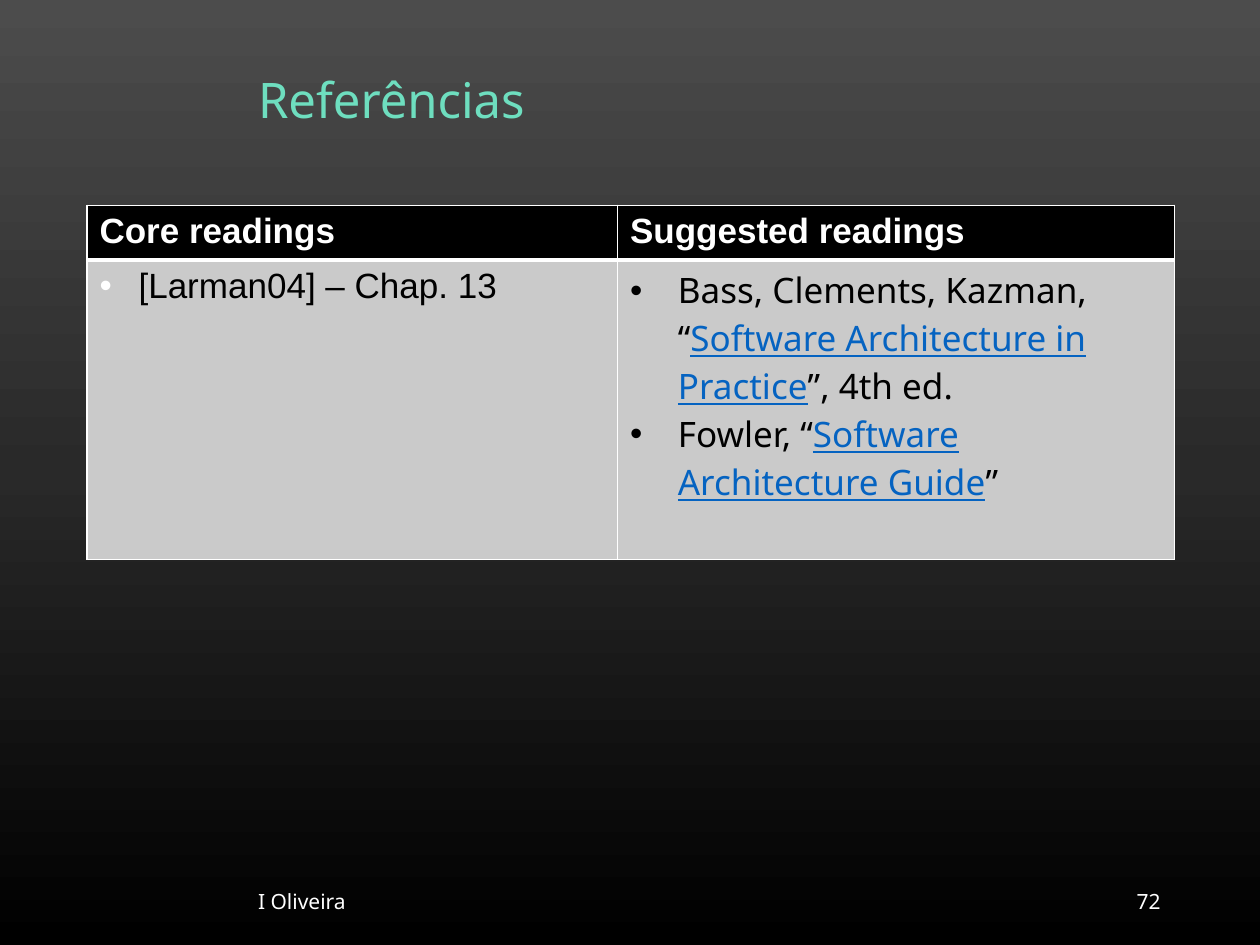
from dataclasses import dataclass
from typing import NamedTuple

from lxml.etree import SubElement as Sub
from pptx import Presentation
from pptx.dml.color import RGBColor as Rgb
from pptx.enum.text import MSO_ANCHOR as Anchor, PP_ALIGN as Align
from pptx.oxml.ns import qn
from pptx.util import Inches, Pt


@dataclass(frozen=True)
class Theme:
    sans: str = "Noto Sans"
    arial: str = "Arial"
    white: str = "FFFFFF"
    black: str = "000000"
    mint: str = "6EDEBF"
    grey: str = "CACACA"
    link: str = "0563C1"
    fade: tuple = ((0, "4C4C4C"), (50, "292929"), (100, "000000"))
    title: int = 28
    body: int = 20
    foot: int = 12


class Box(NamedTuple):
    left: float
    top: float
    width: float
    height: float


class Label(NamedTuple):
    text: str
    box: Box
    size: int
    color: str
    align: Align = Align.LEFT
    lines: float = 1.0


class Span(NamedTuple):
    text: str
    color: str
    line: bool = False


class Cell(NamedTuple):
    paras: list
    fill: str
    font: str
    edges: dict
    bold: bool = False
    dent: float = 0
    dot: str = ""


T = Theme()
WIDE, HIGH = Inches(10), Inches(7.5)


def across(share: float) -> int:
    return round(WIDE * share / 100)


def down(share: float) -> int:
    return round(HIGH * share / 100)


def style(run, **form) -> None:
    run.font.color.rgb = Rgb.from_string(form.pop("color"))
    for name, value in form.items():
        setattr(run.font, name, value)


def paint(parent, color: str) -> None:
    Sub(parent, qn("a:srgbClr"), val=color)


def shade(slide) -> None:
    fill = slide.background.fill
    fill.gradient()
    fill.gradient_angle = 270
    stops = next(slide.background._cSld.iter(qn("a:gsLst")))
    for stop in list(stops):
        stops.remove(stop)
    for place, color in T.fade:
        paint(Sub(stops, qn("a:gs"), pos=str(place * 1000)), color)


def write(slide, label: Label) -> None:
    box = label.box
    shape = slide.shapes.add_textbox(across(box.left), down(box.top),
                                     across(box.width), down(box.height))
    frame = shape.text_frame
    frame.word_wrap = True
    frame.vertical_anchor = Anchor.MIDDLE
    para = frame.paragraphs[0]
    para.alignment = label.align
    para.line_spacing = label.lines
    run = para.add_run()
    run.text = label.text
    style(run, color=label.color, size=Pt(label.size), name=T.sans)


def bullet(para, dent: float, color: str) -> None:
    props = para._p.get_or_add_pPr()
    props.set("marL", str(Inches(dent)))
    props.set("indent", str(-Inches(dent)))
    paint(Sub(props, qn("a:buClr")), color)
    Sub(props, qn("a:buFont"), typeface=T.arial)
    Sub(props, qn("a:buChar"), char="•")


def fill(spot, cell: Cell) -> None:
    props = spot._tc.get_or_add_tcPr()
    for side, width in cell.edges.items():
        edge = Sub(props, qn(f"a:ln{side}"), w=str(Pt(width)))
        paint(Sub(edge, qn("a:solidFill")), T.white)
    spot.fill.solid()
    spot.fill.fore_color.rgb = Rgb.from_string(cell.fill)
    frame = spot.text_frame
    for i, spans in enumerate(cell.paras):
        para = frame.add_paragraph() if i else frame.paragraphs[0]
        if cell.dot:
            bullet(para, cell.dent, cell.dot)
        for span in spans:
            run = para.add_run()
            run.text = span.text
            style(run, color=span.color, size=Pt(T.body), name=cell.font,
                  bold=cell.bold, underline=span.line)


def tabulate(slide, left: float, top: float, cols: list, rows: list,
             cells: list) -> None:
    table = slide.shapes.add_table(len(rows), len(cols), across(left),
                                   down(top), across(sum(cols)),
                                   down(sum(rows))).table
    for col, share in zip(table.columns, cols):
        col.width = across(share)
    for row, share in zip(table.rows, rows):
        row.height = down(share)
    for r, line in enumerate(cells):
        for c, cell in enumerate(line):
            fill(table.cell(r, c), cell)


def head(text: str) -> Cell:
    return Cell([[Span(text, T.white)]], T.black, T.arial,
                dict(L=1, R=1, T=1, B=3), bold=True)


def entry(paras: list, font: str, dent: float, dot: str) -> Cell:
    return Cell(paras, T.grey, font, dict(L=1, R=1, T=3, B=1),
                dent=dent, dot=dot)


def cite(lead: str, work: str, tail: str) -> list:
    return [Span(lead, T.black), Span(work, T.link, True), Span(tail, T.black)]


LABELS = [
    Label("Referências", Box(19.5, 5.33, 73.6, 11.07), T.title, T.mint,
          lines=0.9),
    Label("72", Box(70.6, 92.67, 22.5, 5.33), T.foot, T.white, Align.RIGHT),
    Label("I Oliveira", Box(19.5, 92.67, 47.4, 5.33), T.foot, T.white),
]

CELLS = [
    [head("Core readings"), head("Suggested readings")],
    [entry([[Span("[Larman04] – Chap. 13", T.black)]], T.arial, 0.31, T.white),
     entry([cite("Bass, Clements, Kazman, “",
                 "Software Architecture in Practice", "”, 4th ed."),
            cite("Fowler, “", "Software Architecture Guide", "”")],
           T.sans, 0.38, T.black)],
]


def main() -> None:
    deck = Presentation()
    deck.slide_width, deck.slide_height = WIDE, HIGH
    slide = deck.slides.add_slide(deck.slide_layouts[6])
    shade(slide)
    for label in LABELS:
        write(slide, label)
    tabulate(slide, 6.9, 21.73, [42.1, 44.2], [5.47, 31.7], CELLS)
    deck.save("out.pptx")


if __name__ == "__main__":
    main()
